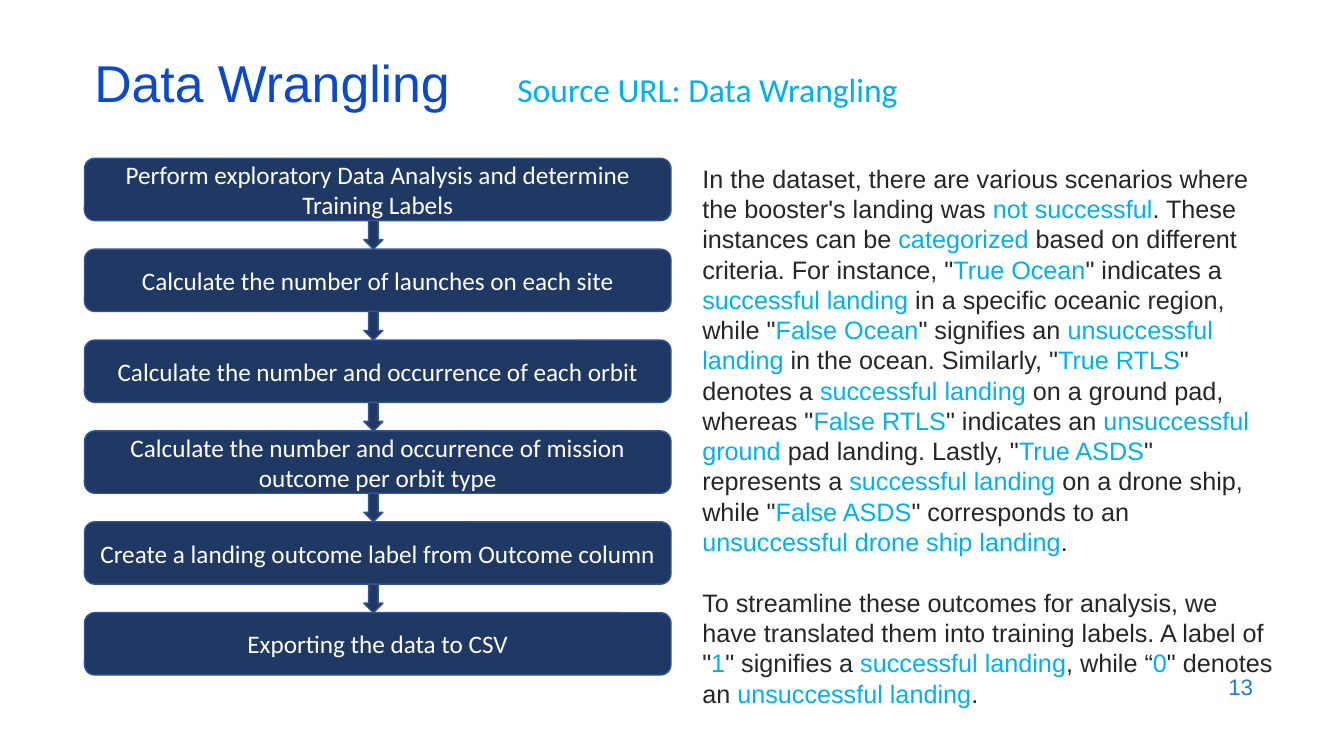
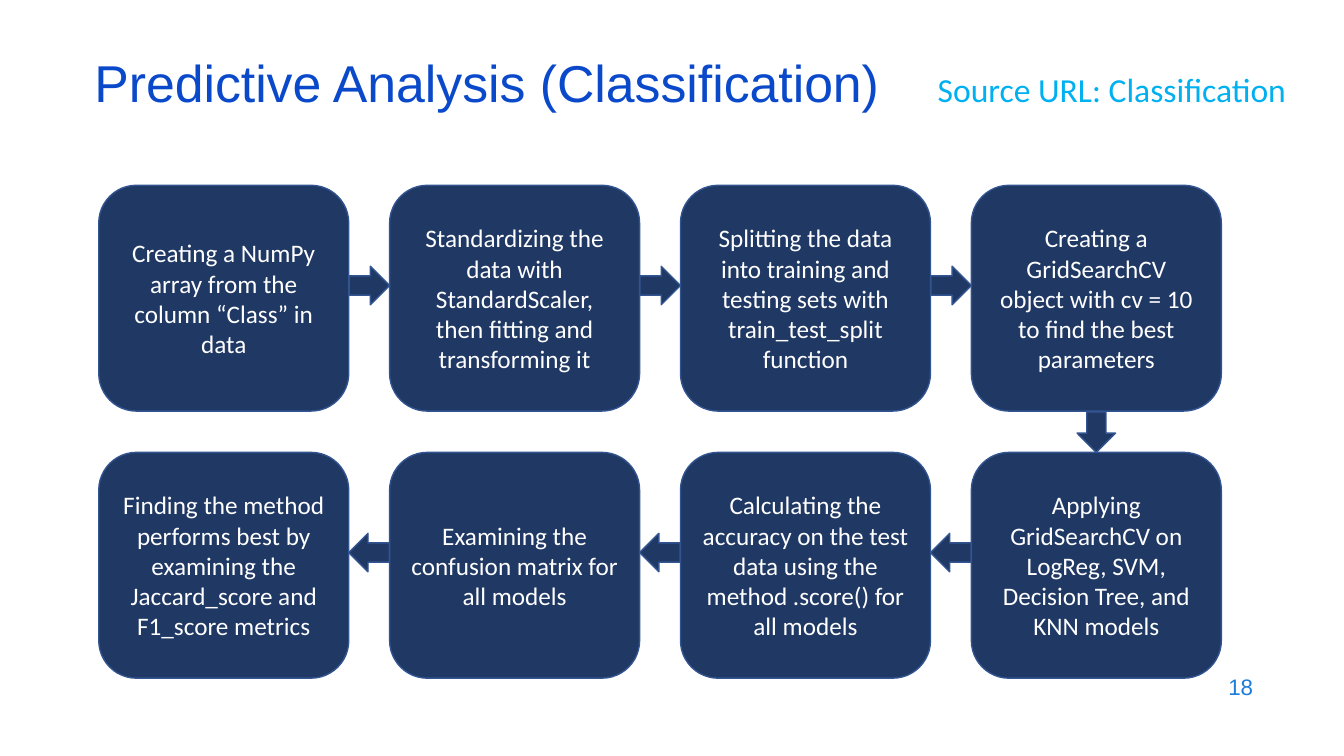
from pptx import Presentation
from pptx import util as u
from pptx.dml.color import RGBColor
from pptx.enum import shapes, text

COLOURS = {
    "title": "0B49CB",
    "number": "1C7DDB",
    "accent": "00B0F0",
    "body": "262626",
    "box": "203864",
    "outline": "325491",
    "label": "FFFFFF",
}
Cm = u.Cm
Preset = shapes.MSO_SHAPE
Align = text.PP_ALIGN
Anchor = text.MSO_ANCHOR


def add_text(slide, box, paragraphs, size, font, colour, align=Align.LEFT, anchor=Anchor.TOP):
    """Add a text box; parts of a paragraph between bars take the accent colour."""
    frame = slide.shapes.add_textbox(*map(Cm, box)).text_frame
    frame.word_wrap = True
    frame.vertical_anchor = anchor
    for index, content in enumerate(paragraphs):
        paragraph = frame.add_paragraph() if index else frame.paragraphs[0]
        paragraph.alignment = align
        for part_index, part in enumerate(content.split("|")):
            run = paragraph.add_run()
            run.text = part
            run.font.size = u.Pt(size)
            run.font.name = font
            run.font.color.rgb = RGBColor.from_string(COLOURS["accent" if part_index % 2 else colour])
    return frame


def add_block(slide, preset, left, top, width, height, label=""):
    shape = slide.shapes.add_shape(preset, Cm(left), Cm(top), Cm(width), Cm(height))
    shape.shadow.inherit = False
    shape.fill.solid()
    shape.fill.fore_color.rgb = RGBColor.from_string(COLOURS["box"])
    shape.line.color.rgb = RGBColor.from_string(COLOURS["outline"])
    shape.line.width = u.Pt(1)
    if label:
        shape.text_frame.text = label
        shape.text_frame.vertical_anchor = Anchor.MIDDLE
        paragraph = shape.text_frame.paragraphs[0]
        paragraph.alignment = Align.CENTER
        font = paragraph.runs[0].font
        font.size = u.Pt(18)
        font.name = "Calibri"
        font.color.rgb = RGBColor.from_string(COLOURS["label"])


presentation = Presentation()
presentation.slide_width = Cm(33.87)
presentation.slide_height = Cm(19.05)

# Title, link and page number on every slide
headings = [
    ("Data Wrangling", "Source URL: Data Wrangling", 17.83, "13"),
    ("Predictive Analysis (Classification)", "Source URL: Classification", 28.02, "18"),
]
slides = []
link_width = 11
for title, link, link_centre, number in headings:
    slide = presentation.slides.add_slide(presentation.slide_layouts[6])
    slides.append(slide)
    add_text(slide, (24.21, 16.74, 7.62, 1.12), [number], 16, "Arial", "number",
             Align.RIGHT, Anchor.MIDDLE)
    title_frame = add_text(slide, (2.13, 1.5, 29.21, 1.52), [title], 37, "Arial", "title",
                           anchor=Anchor.MIDDLE)
    title_frame.paragraphs[0].line_spacing = 0.7
    add_text(slide, (link_centre - link_width / 2, 1.6, link_width, 1.27), [link], 24, "Calibri",
             "accent", Align.CENTER)
wrangling, classification = slides

# Data wrangling: a column of steps beside the explanation
wrangling_steps = [
    "Perform exploratory Data Analysis and determine Training Labels",
    "Calculate the number of launches on each site",
    "Calculate the number and occurrence of each orbit",
    "Calculate the number and occurrence of mission outcome per orbit type",
    "Create a landing outcome label from Outcome column",
    "Exporting the data to CSV",
]
step_height, step_pitch = 1.57, 2.29
for index, step in enumerate(wrangling_steps):
    top = 3.99 + index * step_pitch
    add_block(wrangling, Preset.ROUNDED_RECTANGLE, 2.13, top, 14.78, step_height, step)
    if index:
        gap = step_pitch - step_height
        add_block(wrangling, Preset.DOWN_ARROW, 9.17, top - gap, 0.48, gap)

explanation = [
    "In the dataset, there are various scenarios where the booster's landing was "
    "|not successful|. These instances can be |categorized| based on different criteria. "
    "For instance, \"|True Ocean|\" indicates a |successful landing| in a specific oceanic "
    "region, while \"|False Ocean|\" signifies an |unsuccessful landing |in the ocean. "
    "Similarly, \"|True RTLS|\" denotes a |successful landing |on a ground pad, whereas "
    "\"|False RTLS|\" indicates an |unsuccessful ground |pad landing. Lastly, "
    "\"|True ASDS|\" represents a |successful landing |on a drone ship, while "
    "\"|False ASDS|\" corresponds to an |unsuccessful drone ship landing|.",
    "To streamline these outcomes for analysis, we have translated them into training labels. "
    "A label of \"|1|\" signifies a |successful landing|, while “|0|\" denotes an "
    "|unsuccessful landing|.",
]
explanation_frame = add_text(wrangling, (17.45, 3.99, 14.88, 13.34), explanation, 18, "Arial", "body")
explanation_frame.paragraphs[1].space_before = u.Pt(22)

# Classification: two rows, the second running back from right to left
classification_steps = [
    "Creating a NumPy array from the column “Class” in data",
    "Standardizing the data with StandardScaler, then fitting and transforming it",
    "Splitting the data into training and testing sets with train_test_split function",
    "Creating a GridSearchCV object with cv = 10 to find the best parameters",
    "Applying GridSearchCV on LogReg, SVM, Decision Tree, and KNN models",
    "Calculating the accuracy on the test data using the method .score() for all models",
    "Examining the confusion matrix for all models",
    "Finding the method performs best by examining the Jaccard_score and F1_score metrics",
]
columns = 4
card_width, card_height = 6.3, 5.69
column_pitch, row_pitch = 7.33, 6.73
arrow_length, arrow_breadth, arrow_drop = 1.02, 0.97, 2.04
for index, step in enumerate(classification_steps):
    row, position = divmod(index, columns)
    column = columns - 1 - position if row else position
    left = 2.49 + column * column_pitch
    top = 4.67 + row * row_pitch
    add_block(classification, Preset.ROUNDED_RECTANGLE, left, top, card_width, card_height, step)
    if row and not position:
        add_block(classification, Preset.DOWN_ARROW, left + (card_width - arrow_breadth) / 2,
                  top - arrow_length, arrow_breadth, arrow_length)
    elif position:
        arrow = Preset.LEFT_ARROW if row else Preset.RIGHT_ARROW
        arrow_left = left + card_width if row else left - arrow_length
        add_block(classification, arrow, arrow_left, top + arrow_drop, arrow_length, arrow_breadth)

presentation.save("out.pptx")
